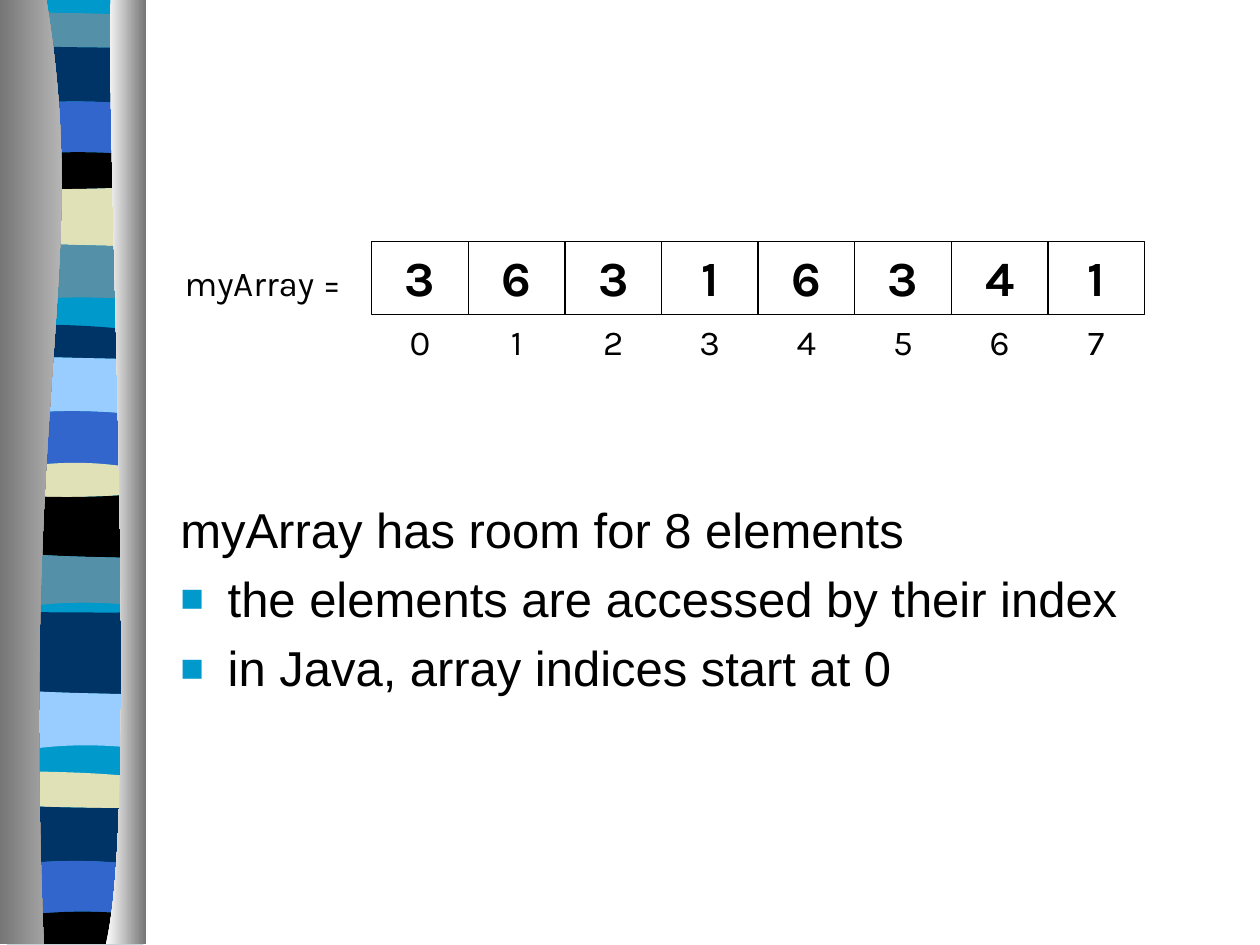
from lxml import etree
from pptx import Presentation
from pptx.dml.color import RGBColor
from pptx.enum.shapes import MSO_SHAPE
from pptx.enum.text import MSO_ANCHOR, MSO_AUTO_SIZE, PP_ALIGN
from pptx.oxml.ns import qn
from pptx.util import Pt

RECTANGLE = MSO_SHAPE.RECTANGLE
TOP = MSO_ANCHOR.TOP
GROW = MSO_AUTO_SIZE.SHAPE_TO_FIT_TEXT
LEFT, CENTER = PP_ALIGN.LEFT, PP_ALIGN.CENTER

COLORS = {
    "ink": "000000",
    "cyan": "0099CC",
    "teal": "5490A8",
    "navy": "003366",
    "blue": "3366CC",
    "cream": "E1E1B7",
    "sky": "99CCFF",
    "white": "FFFFFF",
    "silver": "D4D4D4",
    "gray": "767676",
}

# Colour of each band, and the height of its top edge at left, middle and right.
BANDS = [
    ("cyan", 0, 0, 0),
    ("teal", 7, 7.5, 9),
    ("navy", 26, 27, 27.5),
    ("blue", 60, 58, 60),
    ("ink", 89.5, 87, 89),
    ("cream", 108, 108, 106.5),
    ("teal", 138, 140, 141),
    ("cyan", 172.5, 170, 171.5),
    ("navy", 185, 186, 189.5),
    ("sky", 203, 204.5, 205.5),
    ("blue", 237, 235, 237.5),
    ("cream", 268.5, 264.5, 268.5),
    ("ink", 283, 284, 282),
    ("teal", 315.5, 318, 319),
    ("cyan", 348.5, 344.5, 346.5),
    ("navy", 349.5, 350, 350),
    ("sky", 394, 396, 397),
    ("cyan", 430.5, 426, 428),
    ("cream", 440.5, 441.5, 444.5),
    ("navy", 460, 461.5, 462),
    ("blue", 494.5, 492, 494.5),
    ("ink", 524.5, 521, 523),
]
BOTTOM_EDGE = (539.5, 539.5, 539.5)
VALUES = [3, 6, 3, 1, 6, 3, 4, 1]


def rgb(name):
    return RGBColor.from_string(COLORS[name])


def set_all(target, settings):
    for name, value in settings.items():
        setattr(target, name, value)


def add_outline(slide, start, segments):
    points = [point for segment in segments for point in segment]
    hundredths = [(round(x * 100), round(y * 100)) for x, y in [start] + points]
    builder = slide.shapes.build_freeform(*hundredths[0], scale=Pt(1) / 100)
    builder.add_line_segments(hundredths[1:], close=True)
    outline = builder.convert_to_shape()
    lines = iter(list(outline._element.iter(qn("a:lnTo"))))
    for segment in segments:
        parts = [next(lines) for _ in segment]
        if len(parts) == 3:
            curve = etree.Element(qn("a:cubicBezTo"))
            parts[0].addprevious(curve)
            for part in parts:
                curve.append(part[0])
                part.getparent().remove(part)
    outline.shadow.inherit = False
    outline.line.fill.background()
    return outline


def add_ribbon(slide, left, width):
    right = left + width
    base = slide.shapes.add_shape(RECTANGLE, Pt(left), 0, Pt(width), Pt(539.5))
    base.shadow.inherit = False
    base.line.fill.background()
    base.fill.solid()
    base.fill.fore_color.rgb = rgb("cyan")
    edges = [band[1:] for band in BANDS] + [BOTTOM_EDGE]
    for (color, *_), upper, lower in zip(BANDS, edges, edges[1:]):
        if color == "cyan":
            continue
        bends = [(8 * middle - start - end) / 6
                 for start, middle, end in (upper, lower)]
        near, far = left + width / 3, right - width / 3
        band = add_outline(slide, (left, upper[0]), [
            [(near, bends[0]), (far, bends[0]), (right, upper[2])],
            [(right, lower[2])],
            [(far, bends[1]), (near, bends[1]), (left, lower[0])],
        ])
        band.fill.solid()
        band.fill.fore_color.rgb = rgb(color)


def add_panel(slide, outer, curve, start_color, end_color):
    start, *bend = curve
    height = bend[-1][1]
    panel = add_outline(slide, start, [bend, [(outer, height)], [(outer, 0)]])
    panel.fill.gradient()
    panel.fill.gradient_angle = 0
    for stop, position, color in zip(
            panel.fill.gradient_stops, (0, 1), (start_color, end_color)):
        stop.position = position
        stop.color.rgb = rgb(color)


def write(paragraph, text, size, font="Karla", bold=False):
    run = paragraph.add_run()
    run.text = text
    set_all(run.font, {"name": font, "size": Pt(size), "bold": bold})
    run.font.color.rgb = rgb("ink")


def add_label(slide, left, top, width, height, text, align):
    label = slide.shapes.add_textbox(Pt(left), Pt(top), Pt(width), Pt(height))
    set_all(label.text_frame, {"word_wrap": True, "auto_size": GROW})
    paragraph = label.text_frame.paragraphs[0]
    paragraph.alignment = align
    write(paragraph, text, 20)
    return paragraph


def add_array(slide, left, top, label_width, cell_width, cell_height):
    for index, value in enumerate(VALUES):
        x = left + label_width + index * cell_width
        cell = slide.shapes.add_shape(
            RECTANGLE, Pt(x), Pt(top), Pt(cell_width), Pt(cell_height))
        cell.shadow.inherit = False
        cell.fill.background()
        cell.line.color.rgb = rgb("ink")
        cell.line.width = Pt(0.75)
        set_all(cell.text_frame, {"word_wrap": True, "vertical_anchor": TOP})
        paragraph = cell.text_frame.paragraphs[0]
        paragraph.alignment = CENTER
        write(paragraph, str(value), 28, bold=True)
        add_label(slide, x, top + cell_height, cell_width, 32, str(index), CENTER)
    name = add_label(slide, left, top, label_width, 41, "myArray =", LEFT)
    write(name, " ", 28, bold=True)


def add_bullet(properties):
    color = etree.SubElement(properties, qn("a:buClr"))
    etree.SubElement(color, qn("a:srgbClr"), val=COLORS["cyan"])
    etree.SubElement(properties, qn("a:buSzPct"), val="80000")
    etree.SubElement(properties, qn("a:buFont"), typeface="Arial")
    etree.SubElement(properties, qn("a:buChar"), char="■")


def add_notes_on_array(slide, left, top, width, height):
    body = slide.shapes.add_textbox(Pt(left), Pt(top), Pt(width), Pt(height))
    frame = body.text_frame
    frame.word_wrap = True
    lines = [
        ("myArray has room for 8 elements", False),
        ("the elements are accessed by their index", True),
        ("in Java, array indices start at 0", True),
    ]
    for number, (text, bulleted) in enumerate(lines):
        paragraph = frame.add_paragraph() if number else frame.paragraphs[0]
        paragraph.space_before = Pt(5.9)
        properties = paragraph._p.get_or_add_pPr()
        properties.set("marL", str(Pt(27)))
        properties.set("indent", str(Pt(-27)))
        if bulleted:
            add_bullet(properties)
        write(paragraph, text, 28, font="Arial")


def main():
    deck = Presentation()
    set_all(deck, {"slide_width": Pt(720), "slide_height": Pt(540)})
    slide = deck.slides.add_slide(deck.slide_layouts[6])
    add_ribbon(slide, 4, 78)
    add_panel(slide, 0, [(26.5, 0), (52, 155.5), (12, 213), (25, 539.5)],
              "gray", "silver")
    add_panel(slide, 83.3, [(63.4, 0), (60.5, 90), (80, 465), (60.5, 539.5)],
              "white", "gray")
    add_notes_on_array(slide, 96, 282, 594, 192)
    add_array(slide, 98.4, 138, 114, 55.2, 41.8)
    deck.save("out.pptx")


if __name__ == "__main__":
    main()
